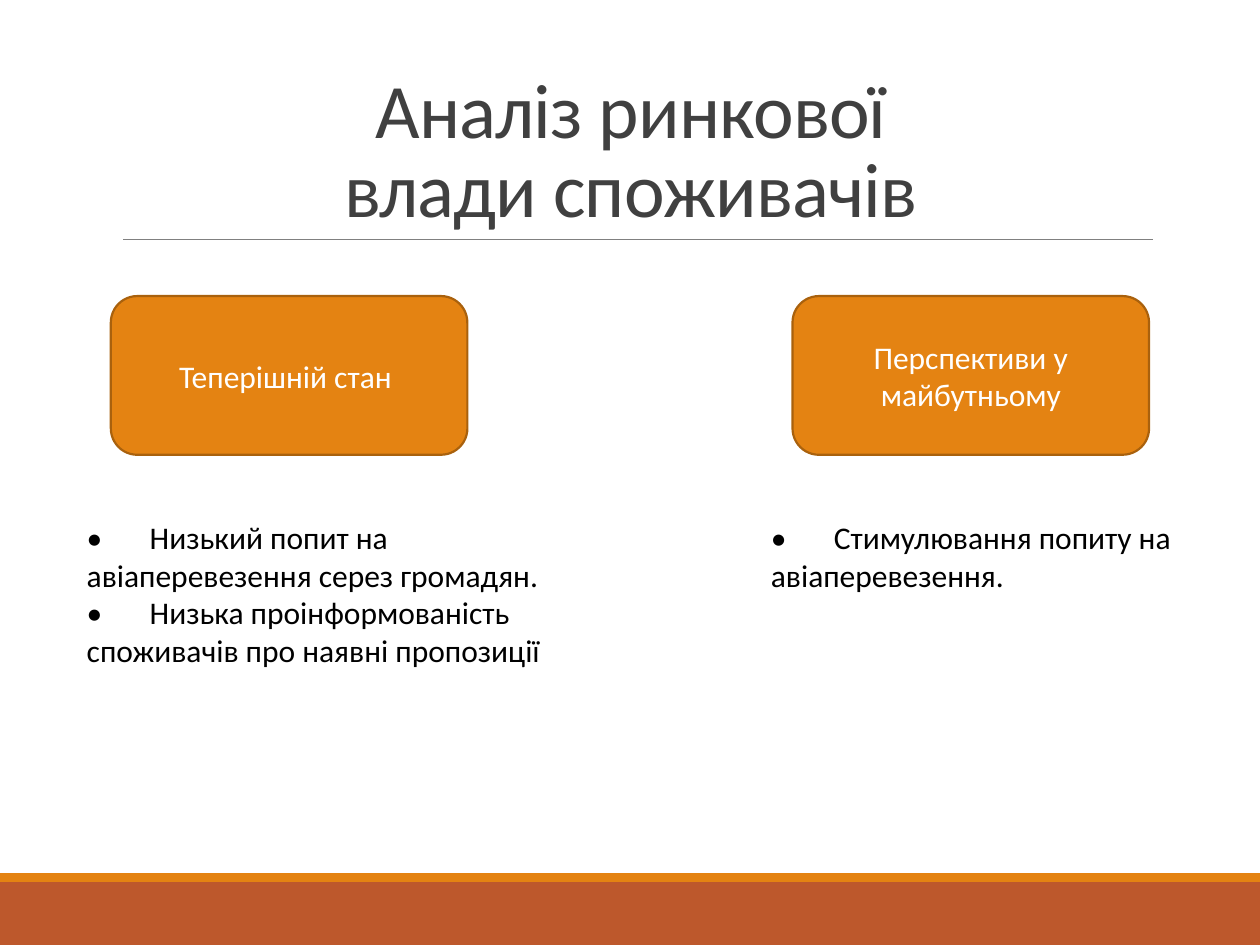
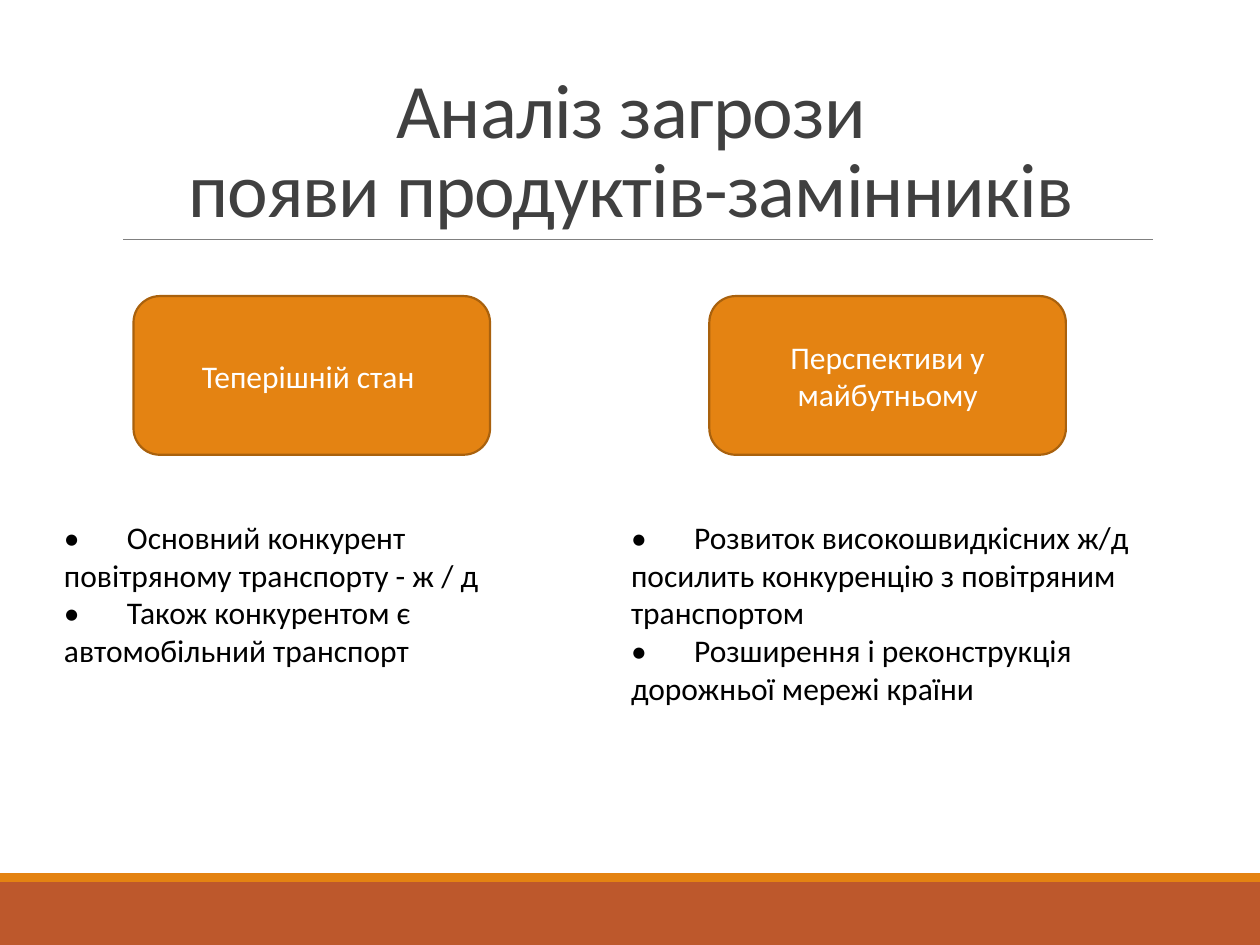
from lxml.etree import SubElement
from pptx import Presentation
from pptx.dml.color import RGBColor
from pptx.enum.shapes import MSO_CONNECTOR, MSO_SHAPE
from pptx.enum.text import MSO_ANCHOR, MSO_AUTO_SIZE, PP_ALIGN
from pptx.oxml.ns import qn
from pptx.util import Inches, Pt

# Shared look
FONT = "Calibri"
ORANGE, RUST, DARK_ORANGE = "E48312", "BD582C", "A9610D"
RULE_GREY, TITLE_GREY, WHITE, BLACK = "808080", "404040", "FFFFFF", "000000"
NBSP = chr(160)  # keeps the last two title words on one line

presentation = Presentation()
presentation.slide_width = Inches(10)
presentation.slide_height = Inches(7.5)

# Grid: 10 columns by 15 rows
COLUMN = presentation.slide_width / 10
ROW = presentation.slide_height / 15
CARD_WIDTH, CARD_TOP, CARD_HEIGHT = 2.83, 4.7, 2.52
BULLETS_TOP = 8.12
BANDS = [(14, 1, RUST), (13.86, 0.14, ORANGE)]
HEADINGS = ["Теперішній стан ", "Перспективи у майбутньому"]

# Per slide: title, then per side: card column, text column, text width, text rows, lines
SLIDES = [
    (f"Аналіз ринкової влади{NBSP}споживачів", [
        (0.88, 0.59, 3.9, 2.62, [
            "•\tНизький попит на авіаперевезення серез громадян.",
            "•\tНизька проінформованість споживачів про наявні пропозиції"]),
        (6.29, 6.02, 3.54, 1.42, [
            "•\tСтимулювання попиту на авіаперевезення."]),
    ]),
    (f"Аналіз загрози появи{NBSP}продуктів-замінників", [
        (1.06, 0.41, 4.13, 2.62, [
            "•\tОсновний конкурент повітряному транспорту - ж / д",
            "•\tТакож конкурентом є автомобільний транспорт"]),
        (5.63, 4.91, 4.42, 3.24, [
            "•\tРозвиток високошвидкісних ж/д посилить конкуренцію з повітряним",
            "транспортом",
            "•\tРозширення і реконструкція дорожньої мережі країни"]),
    ]),
]


def grid(left, top, width, height):
    """Turn columns and rows into slide lengths."""
    return [round(left * COLUMN), round(top * ROW), round(width * COLUMN), round(height * ROW)]


def color(hex_string):
    return RGBColor.from_string(hex_string)


for title_text, sides in SLIDES:
    slide = presentation.slides.add_slide(presentation.slide_layouts[5])

    # Bottom bands
    for top, height, band_color in BANDS:
        band = slide.shapes.add_shape(MSO_SHAPE.RECTANGLE, *grid(0, top, 10, height))
        band.shadow.inherit = False
        band.fill.solid()
        band.fill.fore_color.rgb = color(band_color)
        band.line.fill.background()

    # Rule under the title
    start_x, rule_y, end_x, _ = grid(0.98, 3.8, 9.15, 0)
    rule = slide.shapes.add_connector(MSO_CONNECTOR.STRAIGHT, start_x, rule_y, end_x, rule_y)
    rule.line.color.rgb = color(RULE_GREY)
    rule.line.width = Pt(0.5)
    SubElement(rule._element.spPr, qn("a:effectLst"))

    # Title
    title = slide.shapes.title
    title.left, title.top, title.width, title.height = grid(0.88, 0.62, 8.25, 3.18)
    title_frame = title.text_frame
    title_frame.text = title_text
    title_frame.word_wrap = True
    title_frame.auto_size = MSO_AUTO_SIZE.NONE
    title_frame.vertical_anchor = MSO_ANCHOR.BOTTOM
    paragraph = title_frame.paragraphs[0]
    paragraph.alignment = PP_ALIGN.CENTER
    paragraph.line_spacing = 0.85
    run = paragraph.runs[0]
    run.font.name, run.font.size = FONT, Pt(44)
    run.font.color.rgb = color(TITLE_GREY)
    run._r.get_or_add_rPr().set("spc", "-50")

    for heading, (card_left, text_left, text_width, text_rows, lines) in zip(HEADINGS, sides):
        # Heading card
        card = slide.shapes.add_shape(
            MSO_SHAPE.ROUNDED_RECTANGLE, *grid(card_left, CARD_TOP, CARD_WIDTH, CARD_HEIGHT))
        card.shadow.inherit = False
        card.fill.solid()
        card.fill.fore_color.rgb = color(ORANGE)
        card.line.color.rgb = color(DARK_ORANGE)
        card.line.width = Pt(1.25)
        card.text_frame.text = heading
        card.text_frame.vertical_anchor = MSO_ANCHOR.MIDDLE
        paragraph = card.text_frame.paragraphs[0]
        paragraph.alignment = PP_ALIGN.CENTER
        font = paragraph.runs[0].font
        font.name, font.size = FONT, Pt(18)
        font.color.rgb = color(WHITE)

        # Points below the card, with a tab stop after each bullet
        points = slide.shapes.add_textbox(*grid(text_left, BULLETS_TOP, text_width, text_rows))
        points.text_frame.word_wrap = True
        points.text_frame.auto_size = MSO_AUTO_SIZE.SHAPE_TO_FIT_TEXT
        points.text_frame.text = "\n".join(lines)
        for paragraph in points.text_frame.paragraphs:
            tab_list = SubElement(paragraph._p.get_or_add_pPr(), qn("a:tabLst"))
            SubElement(tab_list, qn("a:tab"), pos=str(Inches(0.5)), algn="l")
            font = paragraph.runs[0].font
            font.name, font.size = FONT, Pt(18)
            font.color.rgb = color(BLACK)

presentation.save("out.pptx")
